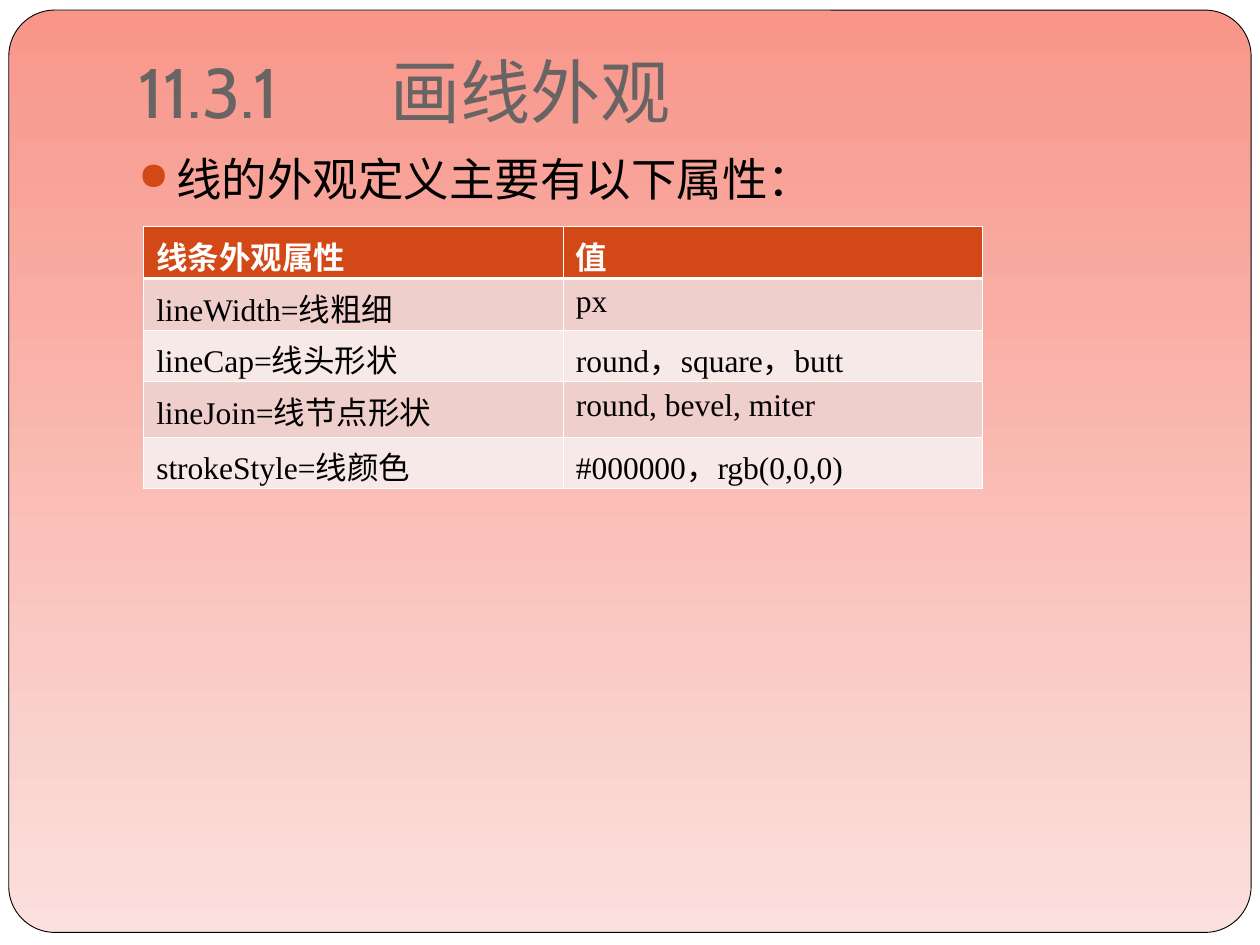
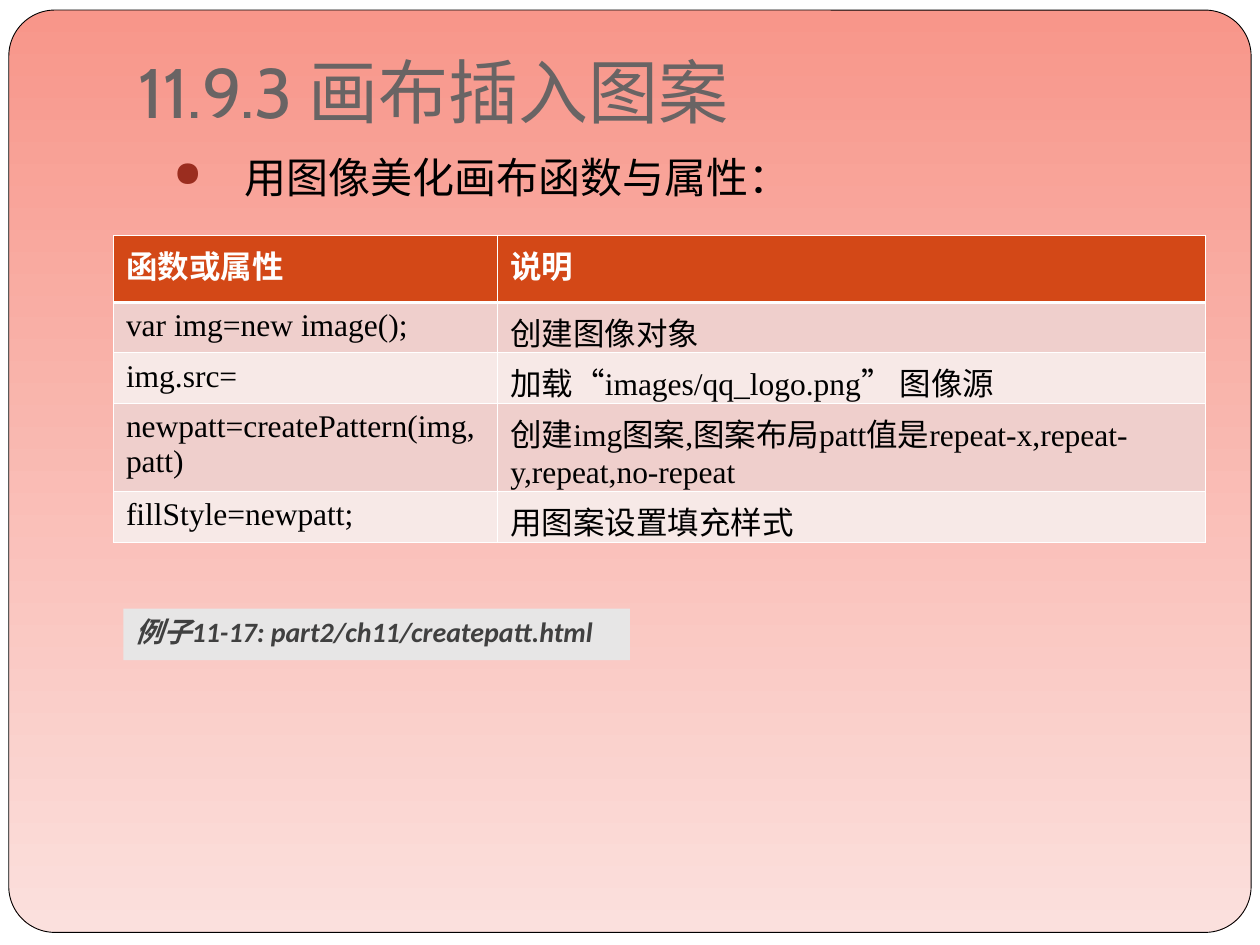
import pptx
import pptx.dml.color
import pptx.enum.shapes
import pptx.enum.text
import pptx.oxml
import pptx.oxml.ns
import pptx.util

Inches = pptx.util.Inches
Pt = pptx.util.Pt
rgb = pptx.dml.color.RGBColor.from_string
qn = pptx.oxml.ns.qn


class Theme:
    white = "FFFFFF"
    black = "000000"
    top = "F8968A"
    base = "FBE0DD"
    title = "696464"
    head = "D34817"
    bands = ("EFCFCC", "F7E9E7")
    note = "E7E6E6"
    ink = "404040"
    big = "Cabin"
    serif = "Times New Roman"
    sans = "Calibri"
    title_size = 40
    cell_size = 18
    note_size = 16
    thin = 0.45
    thick = 1.47


def style(para, face, size, color, bold=False, italic=False):
    for run in para.runs:
        run.font.name = face
        run.font.size = Pt(size)
        run.font.color.rgb = rgb(color)
        run.font.bold = bold
        run.font.italic = italic


def add(parent, tag, **attrs):
    node = pptx.oxml.parse_xml(f'<{tag} {pptx.oxml.ns.nsdecls("a")}/>')
    for key, value in attrs.items():
        node.set(key, str(value))
    parent.append(node)
    return node


pages = [
    {
        "title": "11.3.1\t画线外观",
        "lead": "线的外观定义主要有以下属性：",
        "left": 1,
        "size": 26,
        "indent": (0.3, -0.3),
        "dot": "D34817",
        "at": (1.14, 1.8),
        "cols": (3.33, 3.33),
        "rows": (0.41, 0.41, 0.41, 0.44, 0.41),
        "cells": [
            ("线条外观属性", "值"),
            ("lineWidth=线粗细", "px"),
            ("lineCap=线头形状", "round，square，butt"),
            ("lineJoin=线节点形状", "round, bevel, miter"),
            ("strokeStyle=线颜色", "#000000，rgb(0,0,0)"),
        ],
        "note": None,
    },
    {
        "title": "11.9.3 画布插入图案",
        "lead": "用图像美化画布函数与属性：",
        "left": 0.98,
        "size": 24,
        "indent": (0.86, -0.56),
        "dot": "9B2D1F",
        "at": (0.9, 1.87),
        "cols": (3.05, 5.62),
        "rows": (0.53, 0.4, 0.4, 0.7, 0.4),
        "cells": [
            ("函数或属性", "说明"),
            ("var img=new image();", "创建图像对象"),
            ("img.src=", "加载“images/qq_logo.png” 图像源"),
            ("newpatt=createPattern(img, patt)",
             "创建img图案,图案布局patt值是repeat-x,repeat-y,repeat,no-repeat"),
            ("fillStyle=newpatt;", "用图案设置填充样式"),
        ],
        "note": "例子11-17: part2/ch11/createpatt.html",
    },
]

deck = pptx.Presentation()
deck.slide_width = Inches(10)
deck.slide_height = Inches(7.5)

for page in pages:
    slide = deck.slides.add_slide(deck.slide_layouts[6])
    slide.background.fill.solid()
    slide.background.fill.fore_color.rgb = rgb(Theme.white)
    shapes = slide.shapes

    panel = shapes.add_shape(pptx.enum.shapes.MSO_SHAPE.ROUNDED_RECTANGLE,
                             Inches(0.07), Inches(0.08), Inches(9.86), Inches(7.32))
    panel.adjustments[0] = 0.05
    panel.shadow.inherit = False
    panel.fill.gradient()
    panel.fill.gradient_angle = 270
    for stop, color in zip(panel.fill.gradient_stops, (Theme.top, Theme.base)):
        stop.color.rgb = rgb(color)
    panel.line.color.rgb = rgb(Theme.black)
    panel.line.width = Pt(0.5)

    title = shapes.add_textbox(Inches(1), Inches(0.3), Inches(8.5), Inches(0.85)).text_frame
    title.word_wrap = True
    title.vertical_anchor = pptx.enum.text.MSO_ANCHOR.BOTTOM
    title.margin_bottom = Inches(0.1)
    title.text = page["title"]
    para = title.paragraphs[0]
    tabs = add(para._p.get_or_add_pPr(), "a:tabLst")
    for inch in range(8):
        add(tabs, "a:tab", pos=Inches(inch), algn="l")
    style(para, Theme.big, Theme.title_size, Theme.title)

    body = shapes.add_textbox(Inches(page["left"]), Inches(1.15),
                              Inches(8.5), Inches(5.43)).text_frame
    body.word_wrap = True
    body.text = page["lead"]
    para = body.paragraphs[0]
    props = para._p.get_or_add_pPr()
    margin, hang = page["indent"]
    props.set("marL", str(Inches(margin)))
    props.set("indent", str(Inches(hang)))
    add(add(props, "a:buClr"), "a:srgbClr", val=page["dot"])
    add(props, "a:buSzPct", val=85000)
    add(props, "a:buChar", char="●")
    style(para, Theme.serif, page["size"], Theme.black)

    left, top = page["at"]
    table = shapes.add_table(len(page["rows"]), len(page["cols"]), Inches(left), Inches(top),
                             Inches(sum(page["cols"])), Inches(sum(page["rows"]))).table
    for col, width in zip(table.columns, page["cols"]):
        col.width = Inches(width)
    for row, height in zip(table.rows, page["rows"]):
        row.height = Inches(height)
    for r, texts in enumerate(page["cells"]):
        header = r == 0
        fill = Theme.head if header else Theme.bands[(r - 1) % 2]
        color = Theme.white if header else Theme.black
        for c, text in enumerate(texts):
            cell = table.cell(r, c)
            cell.text = text
            style(cell.text_frame.paragraphs[0], Theme.serif, Theme.cell_size, color, header)
            props = cell._tc.get_or_add_tcPr()
            for side in "LRTB":
                heavy = (r, side) in ((0, "B"), (1, "T"))
                line = add(props, f"a:ln{side}", w=Pt(Theme.thick if heavy else Theme.thin))
                add(add(line, "a:solidFill"), "a:srgbClr", val=Theme.white)
            cell.fill.solid()
            cell.fill.fore_color.rgb = rgb(fill)

    if page["note"]:
        note = shapes.add_shape(pptx.enum.shapes.MSO_SHAPE.RECTANGLE,
                                Inches(0.98), Inches(4.83), Inches(4.02), Inches(0.41))
        note.shadow.inherit = False
        note.fill.solid()
        note.fill.fore_color.rgb = rgb(Theme.note)
        note.line.fill.background()
        frame = note.text_frame
        frame.word_wrap = True
        frame.vertical_anchor = pptx.enum.text.MSO_ANCHOR.TOP
        frame.text = page["note"]
        para = frame.paragraphs[0]
        para.alignment = pptx.enum.text.PP_ALIGN.LEFT
        style(para, Theme.sans, Theme.note_size, Theme.ink, True, True)

deck.save("out.pptx")
